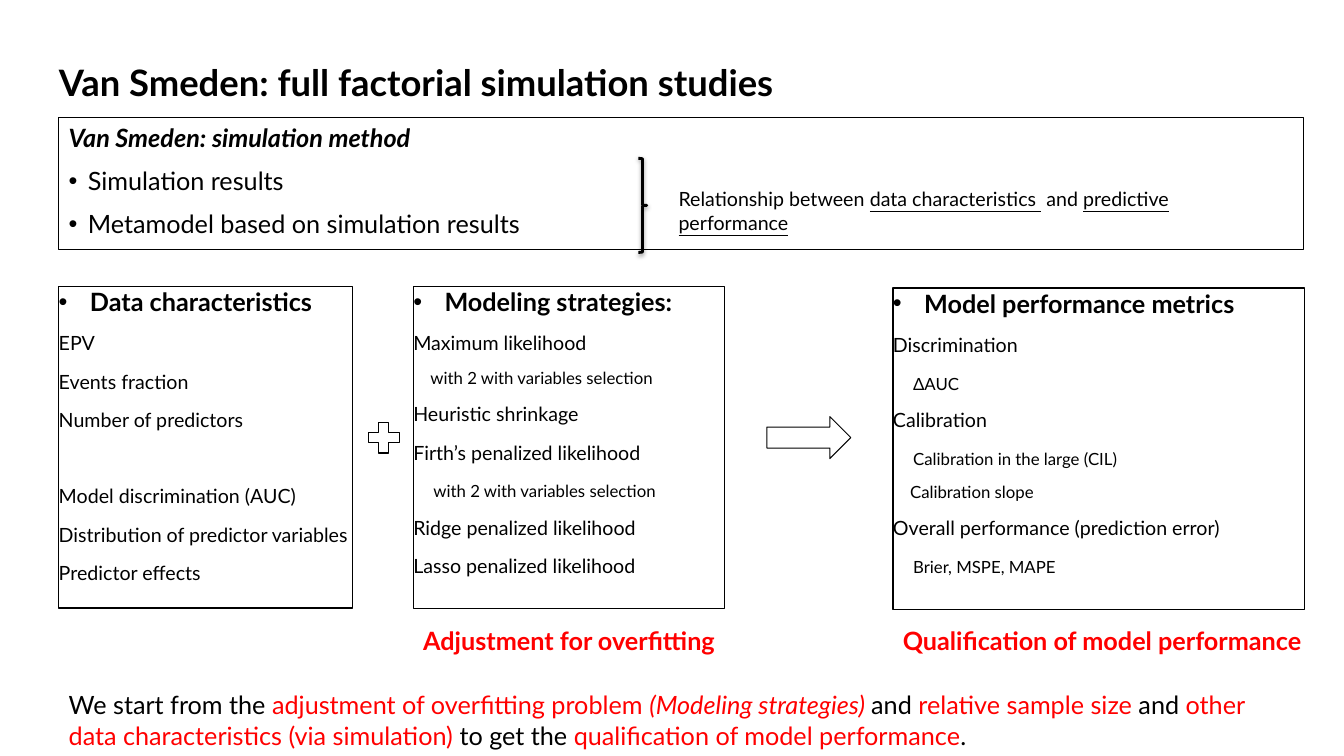
from dataclasses import dataclass

from lxml.etree import SubElement
from pptx import Presentation
from pptx.dml.color import RGBColor
from pptx.enum.shapes import MSO_SHAPE
from pptx.enum.text import MSO_ANCHOR, MSO_AUTO_SIZE, PP_ALIGN
from pptx.oxml.ns import qn
from pptx.util import Inches, Pt

WIDTH, HEIGHT = Inches(13.33), Inches(7.5)
COLUMNS, ROWS = 160, 90
BLACK, RED, WHITE = "000000", "FF0000", "FFFFFF"
FONT = "Lato"
LEFT, MIDDLE, RIGHT = 7, 49.2, 106.3
PANEL_TOP, PANEL_ROWS = 34.1, 38.3
SYMBOL_TOP, CAPTION_TOP = 49.6, 73.8
FULL = 148.2


@dataclass(frozen=True)
class Style:
    """Size, space before, indent and bullet of one kind of paragraph."""

    size: float
    before: float = 0
    indent: float = 0
    bullet: bool = False


TITLE = Style(26)
LEAD = Style(18)
HEADING = Style(18, 0, 0.31, True)
POINT = Style(18, 9, 0.19, True)
NOTE = Style(14)
ITEM = Style(14, 10.5)
ITEM_APART = Style(14, 37.8)
DETAIL = Style(12, 12, 0.2)
DETAIL_TIGHT = Style(12, 9, 0.17)

DATA_CHARACTERISTICS = [
    (HEADING, "Data characteristics", "b"),
    (ITEM, "EPV"),
    (ITEM, "Events fraction"),
    (ITEM, "Number of predictors"),
    (ITEM_APART, "Model discrimination (AUC)"),
    (ITEM, "Distribution of predictor variables"),
    (ITEM, "Predictor effects"),
]
MODELING_STRATEGIES = [
    (HEADING, "Modeling strategies:", "b"),
    (ITEM, "Maximum likelihood"),
    (DETAIL_TIGHT, "with 2 with variables selection"),
    (ITEM, "Heuristic shrinkage"),
    (ITEM, "Firth’s penalized likelihood"),
    (DETAIL, "with 2 with variables selection"),
    (ITEM, "Ridge penalized likelihood"),
    (ITEM, "Lasso penalized likelihood"),
]
PERFORMANCE_METRICS = [
    (HEADING, "Model performance metrics", "b"),
    (ITEM, "Discrimination"),
    (DETAIL, "ΔAUC"),
    (ITEM, "Calibration"),
    (DETAIL, "Calibration in the large (CIL)"),
    (DETAIL_TIGHT, "Calibration slope"),
    (ITEM, "Overall performance (prediction error)"),
    (DETAIL, "Brier, MSPE, MAPE"),
]
SIMULATION_METHOD = [
    (LEAD, "Van Smeden: simulation method", "bi"),
    (POINT, "Simulation results"),
    (POINT, "Metamodel based on simulation results"),
]
RELATIONSHIP = [
    ("Relationship between ",),
    ("data characteristics ", "u"),
    (" and ",),
    ("predictive performance", "u"),
]
SUMMARY = [
    ("We start from the ",),
    ("adjustment of overfitting problem ", "", RED),
    ("(Modeling strategies) ", "i", RED),
    ("and ",),
    ("relative sample size ", "", RED),
    ("and ",),
    ("other data characteristics (via simulation)", "", RED),
    (" to get the ",),
    ("qualification of model performance", "", RED),
    (".",),
]


def colour(target, value):
    """Set a hex colour on a font or a fill."""
    if hasattr(target, "solid"):
        target.solid()
        target = target.fore_color
    else:
        target = target.color
    target.rgb = RGBColor.from_string(value)


def grid(column, row, columns, rows):
    """Turn grid cells into left, top, width and height."""
    across, down = WIDTH / COLUMNS, HEIGHT / ROWS
    return [round(n * unit) for n, unit in
            ((column, across), (row, down), (columns, across), (rows, down))]


def place(holder, area):
    """Move a placeholder to an area of the grid."""
    holder.left, holder.top, holder.width, holder.height = grid(*area)
    return holder


def outline(shape, points):
    """Draw a black outline of the given width."""
    colour(shape.line.fill, BLACK)
    shape.line.width = Pt(points)


def add_figure(slide, preset, area, line=0.75, fill=None):
    """Add a flat preset shape."""
    figure = slide.shapes.add_shape(preset, *grid(*area))
    figure.shadow.inherit = False
    if fill:
        colour(figure.fill, fill)
    else:
        figure.fill.background()
    if line:
        outline(figure, line)
    else:
        figure.line.fill.background()
    return figure


def add_run(paragraph, size, text, flags="", hue=BLACK):
    """Add one run, with b, i and u as flags."""
    run = paragraph.add_run()
    run.text = text
    font = run.font
    font.name, font.size = FONT, Pt(size)
    font.bold, font.italic, font.underline = (flag in flags for flag in "biu")
    colour(font, hue)


def add_paragraph(paragraph, style, runs):
    """Format a paragraph and fill it with runs."""
    paragraph.alignment = PP_ALIGN.LEFT
    paragraph.line_spacing = 1.0
    paragraph.space_before, paragraph.space_after = Pt(style.before), Pt(0)
    properties = paragraph._p.get_or_add_pPr()
    properties.set("marL", str(Inches(style.indent)))
    properties.set("indent", str(-Inches(style.indent) if style.bullet else 0))
    if style.bullet:
        SubElement(properties, qn("a:buFont"), typeface="Arial")
        SubElement(properties, qn("a:buChar"), char="•")
    else:
        SubElement(properties, qn("a:buNone"))
    for run in runs:
        add_run(paragraph, style.size, *run)


def write(shape, paragraphs, inset=True):
    """Fill a shape with top-anchored, wrapped paragraphs."""
    frame = shape.text_frame
    frame.word_wrap = True
    frame.auto_size = MSO_AUTO_SIZE.NONE
    frame.vertical_anchor = MSO_ANCHOR.TOP
    frame.margin_left = frame.margin_right = Inches(0.1 if inset else 0)
    frame.margin_top = frame.margin_bottom = Inches(0.05 if inset else 0)
    for index, (style, runs) in enumerate(paragraphs):
        paragraph = frame.add_paragraph() if index else frame.paragraphs[0]
        add_paragraph(paragraph, style, runs)


def write_list(shape, entries, inset=False):
    """Fill a shape with one run per paragraph."""
    write(shape, [(style, [run]) for style, *run in entries], inset)


def add_text(slide, area, style, runs):
    """Add a text box of one paragraph."""
    write(slide.shapes.add_textbox(*grid(*area)), [(style, runs)])


def add_brace(slide, area):
    """Add the right brace with its soft shadow."""
    brace = add_figure(slide, MSO_SHAPE.RIGHT_BRACE, area, 2)
    effects = brace._element.spPr.find(qn("a:effectLst"))
    shadow = SubElement(effects, qn("a:outerShdw"), blurRad=str(Pt(3.1)),
                        dist=str(Pt(1.6)), dir="5400000", rotWithShape="0")
    black = SubElement(shadow, qn("a:srgbClr"), val=BLACK)
    SubElement(black, qn("a:alpha"), val="38000")


def main():
    """Build the slide and save it."""
    deck = Presentation()
    deck.slide_width, deck.slide_height = WIDTH, HEIGHT
    slide = deck.slides.add_slide(deck.slide_layouts[1])
    title, strategies = slide.placeholders

    place(title, (LEFT, 7.1, 128.9, 17.2))
    write(title, [(TITLE, [("Van Smeden: full factorial simulation studies", "b")])], False)
    place(strategies, (MIDDLE, PANEL_TOP, 37, PANEL_ROWS))
    outline(strategies, 0.75)
    write_list(strategies, MODELING_STRATEGIES)

    for column, row, columns, entries in (
            (LEFT, PANEL_TOP, 35, DATA_CHARACTERISTICS),
            (RIGHT, PANEL_TOP + 0.2, 49, PERFORMANCE_METRICS)):
        area = (column, row, columns, PANEL_ROWS)
        write_list(add_figure(slide, MSO_SHAPE.RECTANGLE, area, 1), entries)

    method = add_figure(slide, MSO_SHAPE.RECTANGLE, (LEFT, 14, FULL, 15.7))
    write_list(method, SIMULATION_METHOD, True)
    add_brace(slide, (76, 18.85, 1, 11.2))
    add_text(slide, (79.6, 21.7, 73.4, 4.1), NOTE, RELATIONSHIP)

    add_figure(slide, MSO_SHAPE.MATH_PLUS, (43.2, SYMBOL_TOP, 5, 5))
    add_figure(slide, MSO_SHAPE.RIGHT_ARROW, (91.3, SYMBOL_TOP, 10, 5))

    adjustment = add_figure(slide, MSO_SHAPE.RECTANGLE, (MIDDLE, CAPTION_TOP, 39, 4.8), 0, WHITE)
    write(adjustment, [(LEAD, [("Adjustment for overfitting", "b", RED)])])
    add_text(slide, (RIGHT, CAPTION_TOP, 51.7, 4.8), LEAD,
             [("Qualification of model performance", "b", RED)])
    add_text(slide, (LEFT, 81.5, FULL, 8.5), LEAD, SUMMARY)
    deck.save("out.pptx")


if __name__ == "__main__":
    main()
